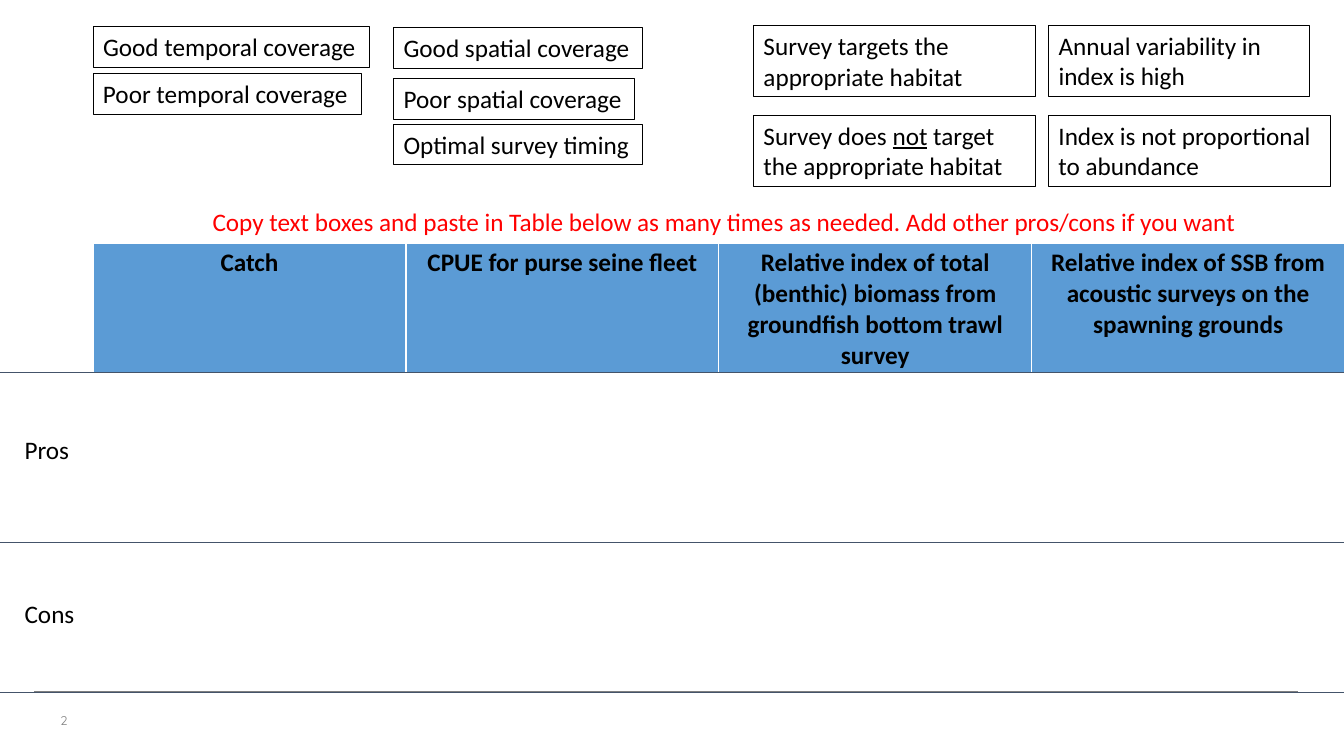
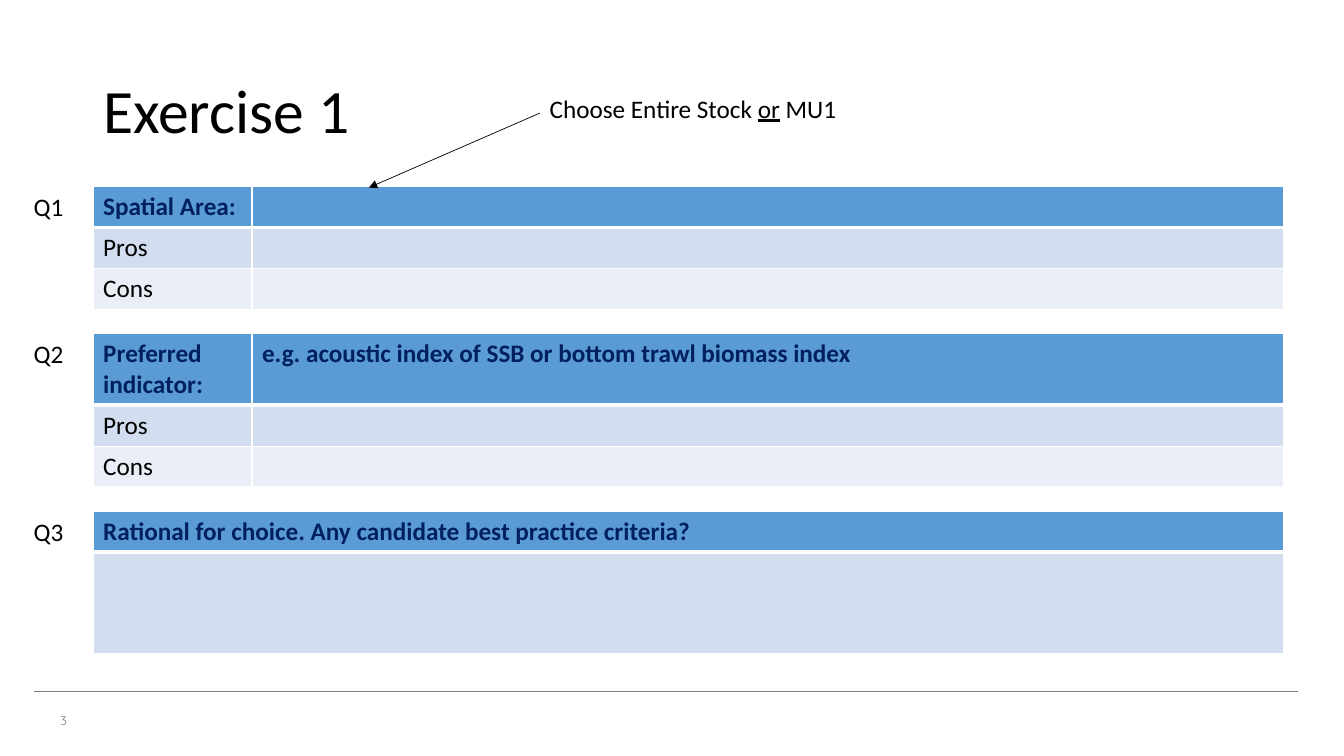
"""Builds two workshop slides: a pros and cons board and an answer form."""
from lxml.etree import SubElement
from pptx import Presentation
from pptx.dml.color import RGBColor
from pptx.enum.text import MSO_ANCHOR, MSO_AUTO_SIZE, PP_ALIGN
from pptx.oxml.ns import qn
from pptx.util import Pt

COLORS = {
    "text": "000000", "navy": "002060", "alert": "FF0000", "gray": "7F7F7F",
    "slate": "44546A", "white": "FFFFFF", "header": "5B9BD5",
    "band": "D2DEEF", "light": "EAEFF7",
}
WIDTH, HEIGHT = 960, 540
LEFT = 66.5
LINE_H, BOX_H, TWO_LINE_H = 29.2, 29.1, 50.9
ROW_FILLS = ("header", "band", "light")

STATEMENTS = [
    ("Good temporal coverage", LEFT, 19, 197.5, BOX_H),
    ("Poor temporal coverage", LEFT, 52.5, 191.5, BOX_H),
    ("Good spatial coverage", 281.2, 19.5, 178, BOX_H),
    ("Poor spatial coverage", 281.2, 56.3, 172.3, BOX_H),
    ("Optimal survey timing", 281.2, 88.6, 177.5, BOX_H),
    ("Survey targets the appropriate habitat", 538.3, 18.4, 201.2, TWO_LINE_H),
    ("Survey does _not_ target the appropriate habitat", 538.3, 82.2, 201.2, TWO_LINE_H),
    ("Annual variability in index is high", 749, 18, 186.6, TWO_LINE_H),
    ("Index is not proportional\nto abundance", 749, 82.2, 201.2, TWO_LINE_H),
]
INSTRUCTION = ("Copy text boxes and paste in Table below as many times as needed. "
               "Add other pros/cons if you want")
INDICATORS = [
    "Catch",
    "CPUE for purse seine fleet",
    "Relative index of total (benthic) biomass from groundfish bottom trawl survey",
    "Relative index of SSB from acoustic surveys on the spawning grounds",
]
BOARD_ROWS = [("Pros", 306.7), ("Cons", 423.6)]
BOARD_RULES = [265.9, 387.2, 494.4]

TITLE = "Exercise 1"
HINT = "Choose Entire Stock _or_ MU1"
ANSWER_COLUMNS = [113.5, 737.2]
QUESTIONS = [
    ("Q1", 133.3, ANSWER_COLUMNS, [LINE_H] * 3,
     [["Spatial Area:", ""], ["Pros", ""], ["Cons", ""]]),
    ("Q2", 238.4, ANSWER_COLUMNS, [51.1, LINE_H, LINE_H],
     [["Preferred indicator:", "e.g. acoustic index of SSB or bottom trawl biomass index"],
      ["Pros", ""], ["Cons", ""]]),
    ("Q3", 365, [sum(ANSWER_COLUMNS)], [LINE_H, 72.7],
     [["Rational for choice. Any candidate best practice criteria?"], [""]]),
]


def rgb(name):
    return RGBColor.from_string(COLORS[name])


def write(frame, text, size=18, color="text", font="Calibri", bold=False,
          align=PP_ALIGN.LEFT, spacing=None):
    """Fill a text frame; words between underscores are underlined."""
    for row, line in enumerate(text.split("\n")):
        paragraph = frame.add_paragraph() if row else frame.paragraphs[0]
        paragraph.alignment = align
        paragraph.line_spacing = spacing
        for part, words in enumerate(line.split("_")):
            run = paragraph.add_run()
            run.text = words
            run.font.size, run.font.name, run.font.bold = Pt(size), font, bold
            run.font.color.rgb = rgb(color)
            if part % 2:
                run.font.underline = True


def add_label(slide, text, x, y, w, h, wrap=False, border=False,
              anchor=MSO_ANCHOR.TOP, **style):
    label = slide.shapes.add_textbox(Pt(x), Pt(y), Pt(w), Pt(h))
    label.text_frame.word_wrap = wrap
    label.text_frame.vertical_anchor = anchor
    if border:
        label.line.color.rgb = rgb("text")
        label.line.width = Pt(0.75)
    write(label.text_frame, text, **style)


def add_rule(slide, start, end, color, width, arrow=False):
    rule = slide.shapes.add_connector(1, *map(Pt, start + end))
    rule.line.color.rgb = rgb(color)
    rule.line.width = Pt(width)
    properties = rule._element.spPr
    if arrow:
        SubElement(properties.find(qn("a:ln")), qn("a:tailEnd"), type="triangle")
    SubElement(properties, qn("a:effectLst"))


def add_borders(cell, row):
    """Draw white cell borders, thicker below the header row."""
    properties = cell._tc.get_or_add_tcPr()
    widths = {"L": 1, "R": 1, "T": 3 if row == 1 else 1, "B": 1 if row else 3}
    for side, width in widths.items():
        border = SubElement(properties, qn("a:ln" + side), w=str(Pt(width)))
        fill = SubElement(border, qn("a:solidFill"))
        SubElement(fill, qn("a:srgbClr"), val=COLORS["white"])


def add_grid(slide, y, columns, heights, rows, header_color, header_align=PP_ALIGN.LEFT):
    grid = slide.shapes.add_table(len(rows), len(columns), Pt(LEFT), Pt(y),
                                  Pt(sum(columns)), Pt(sum(heights))).table
    for column, width in zip(grid.columns, columns):
        column.width = Pt(width)
    for r, (texts, height) in enumerate(zip(rows, heights)):
        grid.rows[r].height = Pt(height)
        for c, text in enumerate(texts):
            cell = grid.cell(r, c)
            add_borders(cell, r)
            cell.fill.solid()
            cell.fill.fore_color.rgb = rgb(ROW_FILLS[r])
            if text:
                write(cell.text_frame, text, bold=r == 0,
                      color="text" if r else header_color,
                      align=PP_ALIGN.LEFT if r else header_align)


def add_slide(deck, layout, number):
    slide = deck.slides.add_slide(deck.slide_layouts[layout])
    add_label(slide, number, 36, 500.4, 77, 28.8, anchor=MSO_ANCHOR.MIDDLE, wrap=True,
              size=9, font="Quicksand", color="gray")
    add_rule(slide, (24.5, 494), (927.4, 494), "gray", 0.25)
    return slide


def build_board(deck):
    slide = add_slide(deck, 6, "2")
    add_grid(slide, 173.5, [223.5] * 4, [93.4], [INDICATORS], "text", PP_ALIGN.CENTER)
    for name, y in BOARD_ROWS:
        add_label(slide, name, 10.5, y, 50, BOX_H, wrap=True)
    for y in BOARD_RULES:
        add_rule(slide, (0, y), (WIDTH, y), "slate", 0.5)
    for text, x, y, w, h in STATEMENTS:
        add_label(slide, text, x, y, w, h, border=True,
                  wrap=h == TWO_LINE_H and "\n" not in text)
    add_label(slide, INSTRUCTION, 144.7, 144, 754.6, BOX_H, color="alert")


def build_form(deck):
    slide = add_slide(deck, 5, "3")
    title = slide.shapes.title
    title.left, title.top, title.width, title.height = map(Pt, (LEFT, 28.8, 828, 104.4))
    title.text_frame.vertical_anchor = MSO_ANCHOR.MIDDLE
    title.text_frame.auto_size = MSO_AUTO_SIZE.NONE
    write(title.text_frame, TITLE, size=44, spacing=0.9)
    for name, y, columns, heights, rows in QUESTIONS:
        add_grid(slide, y, columns, heights, rows, "navy")
        add_label(slide, name, 17, y, 49, BOX_H, wrap=True)
    add_label(slide, HINT, 385.6, 62.8, 247.7, TWO_LINE_H, wrap=True)
    add_rule(slide, (385.6, 80.8), (263.5, 134), "text", 0.5, arrow=True)


deck = Presentation()
deck.slide_width, deck.slide_height = Pt(WIDTH), Pt(HEIGHT)
build_board(deck)
build_form(deck)
deck.save("out.pptx")
